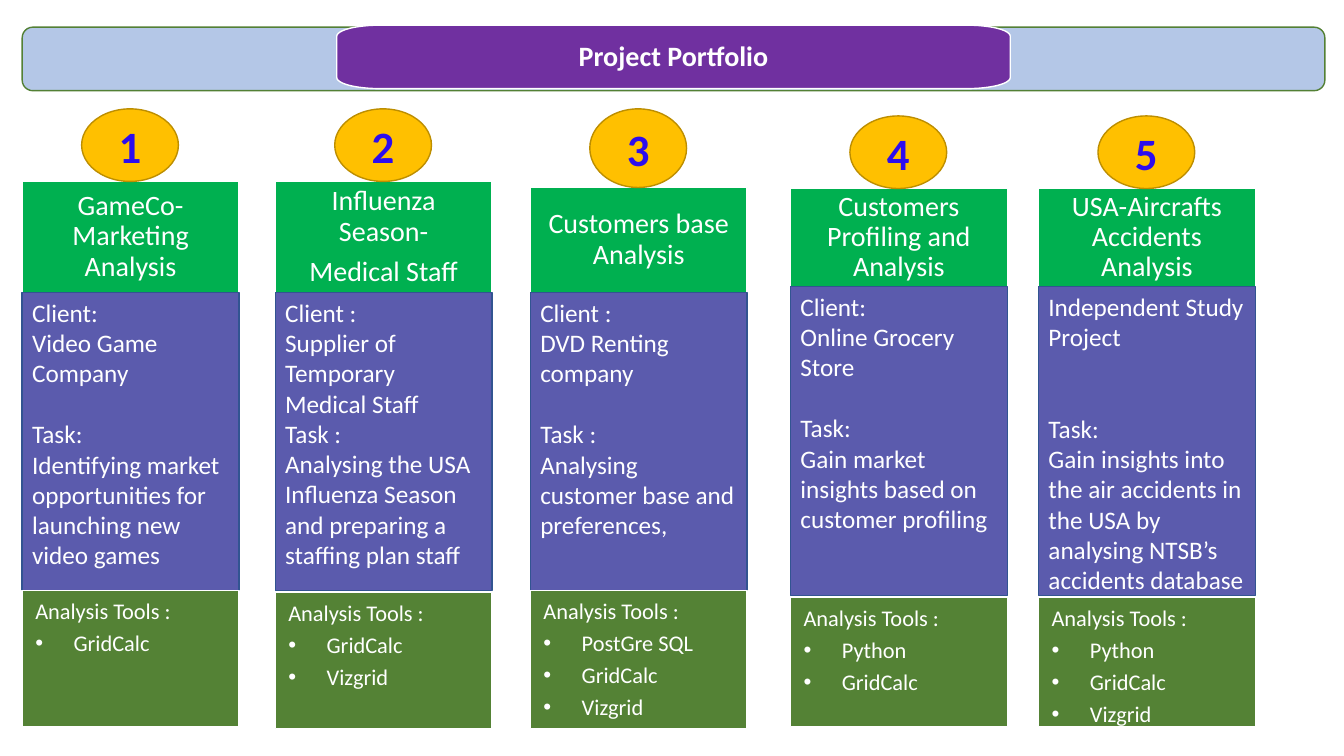
from math import cos, pi, sin

from lxml.etree import SubElement
from pptx import Presentation
from pptx.dml.color import RGBColor
from pptx.enum.shapes import MSO_SHAPE
from pptx.enum.text import MSO_ANCHOR, MSO_AUTO_SIZE, PP_ALIGN
from pptx.oxml.ns import qn
from pptx.util import Pt

EMU_PER_PX = 9144  # 100 px to the inch

COLOURS = {
    "white": "FFFFFF",
    "banner": "B4C7E7", "banner_edge": "538035", "title": "7030A0",
    "badge": "FFC000", "badge_edge": "BD8E00", "number": "2D0DED",
    "name": "00B050", "brief": "5B5BAD", "brief_edge": "325491",
    "tools": "548235",
}

# left edge, then the row edges: badge, name, brief, brief end, tools, tools end
PROJECTS = [
    {"left": 22, "rows": (108, 180, 290, 586, 586, 721),
     "name": ["GameCo- Marketing Analysis"],
     "client": ["Client:", "Video Game Company"], "gap_lines": 1,
     "task": ["Task:", "Identifying market opportunities for launching new video games"],
     "tools": ["GridCalc"]},
    {"left": 273, "rows": (108, 180, 290, 586, 588, 723),
     "name": ["Influenza Season-", "Medical Staff"],
     "client": ["Client :", "Supplier of Temporary Medical Staff"], "gap_lines": 0,
     "task": ["Task :", "Analysing the USA Influenza Season and preparing a staffing plan staff"],
     "tools": ["GridCalc", "Vizgrid"]},
    {"left": 526, "rows": (108, 186, 290, 586, 586, 723),
     "name": ["Customers base Analysis"],
     "client": ["Client :", "DVD Renting company"], "gap_lines": 1,
     "task": ["Task :", "Analysing customer base and preferences,"],
     "tools": ["PostGre SQL", "GridCalc", "Vizgrid"]},
    {"left": 784, "rows": (115, 187, 284, 591, 593, 721),
     "name": ["Customers Profiling and Analysis"],
     "client": ["Client:", "Online Grocery Store"], "gap_lines": 1,
     "task": ["Task:", "Gain market insights based on customer profiling"],
     "tools": ["Python", "GridCalc"]},
    {"left": 1030, "rows": (115, 187, 284, 591, 593, 721),
     "name": ["USA-Aircrafts Accidents Analysis"],
     "client": ["Independent Study Project"], "gap_lines": 2,
     "task": ["Task:", "Gain insights into the air accidents in the USA by analysing "
                       "NTSB’s accidents database"],
     "tools": ["Python", "GridCalc", "Vizgrid"]},
]
COLUMN_WIDTH = 215
BADGE_WIDTH = 96
BRIEF_LINE = 22  # points
WIDE_INSETS = (13, 9)
NARROW_INSETS = (10, 5)


def px(length):
    return round(length * EMU_PER_PX)


class Board:
    font = "Calibri"

    def __init__(self, slide):
        self.slide = slide

    def paint(self, shape, fill, edge):
        shape.shadow.inherit = False
        shape.fill.solid()
        shape.fill.fore_color.rgb = RGBColor.from_string(COLOURS[fill])
        shape.line.color.rgb = RGBColor.from_string(COLOURS[edge])
        shape.line.width = Pt(1)

    def box(self, kind, left, top, width, height, fill, edge):
        shape = self.slide.shapes.add_shape(kind, px(left), px(top), px(width), px(height))
        self.paint(shape, fill, edge)
        return shape

    def pillow(self, left, top, width, height, radius_x, radius_y, fill, edge):
        """A plate with elliptical corners."""
        right, bottom = left + width, top + height
        centres = [(right - radius_x, bottom - radius_y), (left + radius_x, bottom - radius_y),
                   (left + radius_x, top + radius_y), (right - radius_x, top + radius_y)]
        outline = []
        for quarter, (x, y) in enumerate(centres):
            for step in range(13):
                angle = (quarter + step / 12) * pi / 2
                outline.append((px(x + radius_x * cos(angle)), px(y + radius_y * sin(angle))))
        builder = self.slide.shapes.build_freeform(*outline[0])
        builder.add_line_segments(outline[1:], close=True)
        self.paint(builder.convert_to_shape(), fill, edge)

    def frame(self, shape, insets, anchor):
        frame = shape.text_frame
        frame.word_wrap = True
        frame.auto_size = MSO_AUTO_SIZE.NONE
        frame.vertical_anchor = anchor
        frame.margin_left = frame.margin_right = px(insets[0])
        frame.margin_top = frame.margin_bottom = px(insets[1])
        return frame

    def add_text(self, frame, text, size, colour="white", bold=False, align=PP_ALIGN.LEFT,
                 tight=False, before=0, bullet=False):
        paragraph = frame.paragraphs[0]
        if paragraph.runs:
            paragraph = frame.add_paragraph()
        paragraph.alignment = align
        if tight:
            paragraph.line_spacing = 0.9
            paragraph.space_after = Pt(size * 0.35)
        if before:
            paragraph.space_before = Pt(before)
        if bullet:
            properties = paragraph._p.get_or_add_pPr()
            properties.set("marL", str(px(38)))
            properties.set("indent", str(px(-38)))
            SubElement(properties, qn("a:buFont")).set("typeface", "Arial")
            SubElement(properties, qn("a:buChar")).set("char", "•")
        run = paragraph.add_run()
        run.text = text
        run.font.name = self.font
        run.font.size = Pt(size)
        run.font.bold = bold
        run.font.color.rgb = RGBColor.from_string(COLOURS[colour])

    def heading(self, text, left, top, width, height):
        title = self.slide.shapes.title
        title.left, title.top, title.width, title.height = map(px, (left, top, width, height))
        title.element.getparent().append(title.element)  # in front of the banner
        frame = self.frame(title, WIDE_INSETS, MSO_ANCHOR.MIDDLE)
        self.add_text(frame, text, 20, bold=True, align=PP_ALIGN.CENTER, tight=True)

    def project(self, number, project):
        left = project["left"]
        badge_top, name_top, brief_top, brief_end, tools_top, tools_end = project["rows"]

        # Project name
        name = self.box(MSO_SHAPE.RECTANGLE, left, name_top, COLUMN_WIDTH,
                        brief_top - name_top, "name", "white")
        frame = self.frame(name, WIDE_INSETS, MSO_ANCHOR.MIDDLE)
        for line in project["name"]:
            self.add_text(frame, line, 20, align=PP_ALIGN.CENTER, tight=True)

        # Client and task
        brief = self.box(MSO_SHAPE.RECTANGLE, left, brief_top, COLUMN_WIDTH,
                         brief_end - brief_top, "brief", "brief_edge")
        frame = self.frame(brief, NARROW_INSETS, MSO_ANCHOR.TOP)
        for line in project["client"]:
            self.add_text(frame, line, 18)
        label, task = project["task"]
        self.add_text(frame, label, 18, before=project["gap_lines"] * BRIEF_LINE)
        self.add_text(frame, task, 18)

        # Numbered badge
        badge = self.box(MSO_SHAPE.OVAL, left + (COLUMN_WIDTH - BADGE_WIDTH) // 2, badge_top,
                         BADGE_WIDTH, name_top - badge_top, "badge", "badge_edge")
        frame = self.frame(badge, NARROW_INSETS, MSO_ANCHOR.MIDDLE)
        self.add_text(frame, str(number), 32, "number", bold=True, align=PP_ALIGN.CENTER)

        # Analysis tools
        tools = self.box(MSO_SHAPE.RECTANGLE, left, tools_top, COLUMN_WIDTH,
                         tools_end - tools_top, "tools", "white")
        frame = self.frame(tools, WIDE_INSETS, MSO_ANCHOR.TOP)
        self.add_text(frame, "Analysis Tools :", 16, tight=True)
        for tool in project["tools"]:
            self.add_text(frame, tool, 16, tight=True, bullet=True)


def main():
    deck = Presentation()
    deck.slide_width, deck.slide_height = px(1333), px(750)
    board = Board(deck.slides.add_slide(deck.slide_layouts[5]))

    # Banner with the title
    board.box(MSO_SHAPE.ROUNDED_RECTANGLE, 22, 27, 1292, 63, "banner", "banner_edge")
    board.pillow(334, 25, 668, 63, 43, 11, "title", "white")
    board.heading("Project Portfolio", 334, 25, 668, 63)

    # Project columns
    for number, project in enumerate(PROJECTS, start=1):
        board.project(number, project)

    deck.save("out.pptx")


if __name__ == "__main__":
    main()
